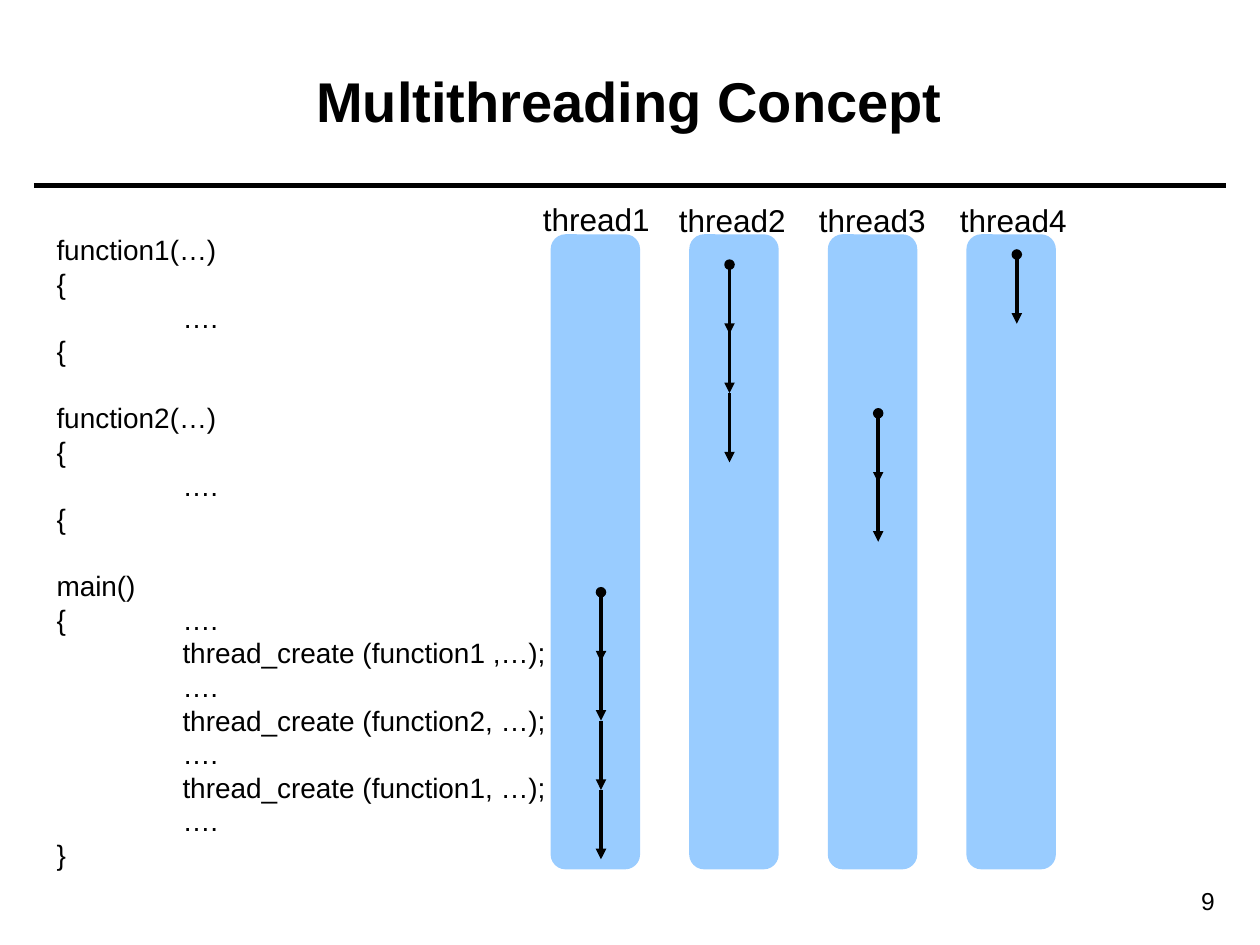
import pptx
import pptx.dml.color
import pptx.enum.shapes
import pptx.enum.text
import pptx.oxml.ns
import pptx.util
from lxml import etree

Inches, Pt = pptx.util.Inches, pptx.util.Pt
RGBColor = pptx.dml.color.RGBColor
ALIGN = pptx.enum.text.PP_ALIGN
ANCHOR = pptx.enum.text.MSO_ANCHOR
SHAPE = pptx.enum.shapes.MSO_SHAPE
LINE = pptx.enum.shapes.MSO_CONNECTOR

BLACK = RGBColor(0x00, 0x00, 0x00)
BLUE = RGBColor(0x99, 0xCC, 0xFF)
FONT = "Arial"
PITCH = 19.2  # line height of the code, in points

CODE = [
    ["function1(…)", "{", "\t….", "{"],
    ["function2(…)", "{", "\t….", "{"],
    ["main()", "{\t….",
     "\tthread_create (function1 ,…);", "\t….",
     "\tthread_create (function2, …);", "\t….",
     "\tthread_create (function1, …);", "\t….", "}"],
]

# label, label left, label top, arrow x, first arrow top, arrow count
THREADS = [
    ("thread1", 4.21, 1.54, 4.77, 4.7, 4),
    ("thread2", 5.29, 1.55, 5.79, 2.1, 3),
    ("thread3", 6.4, 1.55, 6.97, 3.28, 2),
    ("thread4", 7.52, 1.55, 8.07, 2.02, 1),
]
BAR_LEFT, BAR_STEP = 4.37, 1.1
ARROW_LEN, OVERLAP = 0.55, 0.08


def add_sub(node, tag, **attrs):
    return etree.SubElement(node, pptx.oxml.ns.qn(tag), **attrs)


def style(para, size, bold=False):
    for run in para.runs:
        run.font.name = FONT
        run.font.size = Pt(size)
        run.font.bold = bold
        run.font.color.rgb = BLACK


def add_title(slide, text):
    title = slide.shapes.title
    title.left, title.top = Inches(0.35), Inches(0.17)
    title.width, title.height = Inches(9.29), Inches(1.25)
    frame = title.text_frame
    frame.text = text
    frame.vertical_anchor = ANCHOR.MIDDLE
    frame.paragraphs[0].alignment = ALIGN.CENTER
    style(frame.paragraphs[0], 32, True)


def add_text(slide, text, box, size, align=ALIGN.LEFT, wrap=True):
    shape = slide.shapes.add_textbox(*map(Inches, box))
    frame = shape.text_frame
    frame.word_wrap = wrap
    frame.text = text
    for para in frame.paragraphs:
        para.alignment = align
        style(para, size)
    return frame


def add_code(slide, blocks):
    text = "\n".join(line for block in blocks for line in block)
    frame = add_text(slide, text, (0.35, 1.8, 4.52, 5.17), 16)
    heads = [block[0] for block in blocks[1:]]
    for para in frame.paragraphs:
        tabs = add_sub(para._p.get_or_add_pPr(), "a:tabLst")
        add_sub(tabs, "a:tab", pos=str(Inches(1)), algn="l")
        para.line_spacing = Pt(PITCH)
        if para.text in heads:
            para.space_before = Pt(PITCH)


def add_line(slide, start, end, width):
    line = slide.shapes.add_connector(
        LINE.STRAIGHT, *map(Inches, start + end))
    line.line.color.rgb = BLACK
    line.line.width = Pt(width)
    add_sub(line._element.spPr, "a:effectLst")
    return line


def add_arrow(slide, x, top, dot):
    arrow = add_line(slide, (x, top), (x, top + ARROW_LEN), 2)
    ends = arrow.line._get_or_add_ln()
    if dot:
        add_sub(ends, "a:headEnd", type="oval")
    add_sub(ends, "a:tailEnd", type="triangle")


def add_chain(slide, x, top, count):
    """Draw arrows end to end; the second overlaps the tip of the first."""
    for i in range(count):
        shift = OVERLAP if i else 0
        add_arrow(slide, x, top + i * ARROW_LEN - shift, i == 0)


def add_bar(slide, left):
    bar = slide.shapes.add_shape(
        SHAPE.ROUNDED_RECTANGLE, *map(Inches, (left, 1.86, 0.71, 5.04)))
    bar.shadow.inherit = False
    bar.fill.solid()
    bar.fill.fore_color.rgb = BLUE
    bar.line.fill.background()


def main():
    deck = pptx.Presentation()
    deck.slide_width, deck.slide_height = Inches(10), Inches(7.5)
    slide = deck.slides.add_slide(deck.slide_layouts[5])
    add_title(slide, "Multithreading Concept")
    add_line(slide, (0.27, 1.47), (9.73, 1.47), 3)
    add_code(slide, CODE)
    for i, (name, left, top, x, start, count) in enumerate(THREADS):
        add_bar(slide, BAR_LEFT + i * BAR_STEP)
        add_chain(slide, x, start, count)
        add_text(slide, name, (left, top, 1.05, 0.4), 18, wrap=False)
    add_text(slide, "9", (8.7, 6.98, 1.04, 0.34), 14, ALIGN.RIGHT)
    deck.save("out.pptx")


if __name__ == "__main__":
    main()
